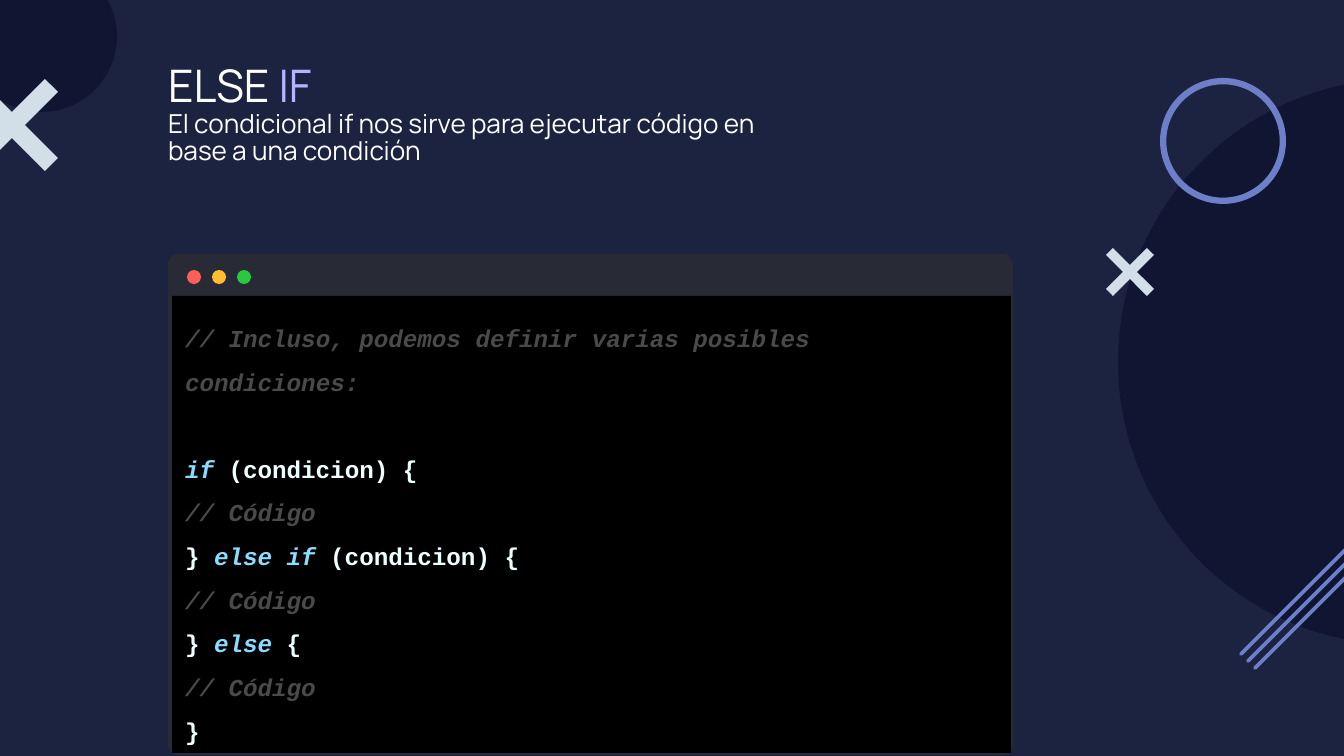
from lxml import etree
from pptx import Presentation
from pptx.dml.color import RGBColor
from pptx.enum.shapes import MSO_CONNECTOR, MSO_SHAPE
from pptx.enum.text import MSO_ANCHOR, MSO_AUTO_SIZE, PP_ALIGN
from pptx.oxml.ns import qn
from pptx.util import Pt

EMU_PER_PX = 914400 / 134.4

ELLIPSE = MSO_SHAPE.OVAL
ROUNDED = MSO_SHAPE.ROUNDED_RECTANGLE
DONUT = MSO_SHAPE.DONUT
STRAIGHT = MSO_CONNECTOR.STRAIGHT
TOP = MSO_ANCHOR.TOP
LEFT = PP_ALIGN.LEFT
NO_AUTOFIT = MSO_AUTO_SIZE.NONE

BACKGROUND = RGBColor(0x1C, 0x23, 0x40)
DARK_CIRCLE = RGBColor(0x10, 0x16, 0x32)
WINDOW = RGBColor(0x28, 0x2A, 0x36)
BLACK = RGBColor(0, 0, 0)
WHITE = RGBColor(0xFF, 0xFF, 0xFF)
LILAC = RGBColor(0xB3, 0xB5, 0xFF)
PERIWINKLE = RGBColor(0x6D, 0x7F, 0xC9)
PALE = RGBColor(0xD2, 0xDF, 0xE9)
COMMENT = RGBColor(0x4A, 0x4A, 0x4A)
KEYWORD = RGBColor(0x89, 0xDD, 0xFF)
PLAIN = RGBColor(0xEE, 0xFF, 0xFF)
BUTTONS = (RGBColor(0xFF, 0x5F, 0x56), RGBColor(0xFF, 0xBD, 0x2F),
           RGBColor(0x28, 0xC9, 0x3F))

CODE_COMMENT = [("// Código", COMMENT)]
CODE = [
    [("// Incluso, podemos definir varias posibles condiciones:", COMMENT)],
    [("if", KEYWORD), (" (condicion) {", PLAIN)],
    CODE_COMMENT,
    [("} ", PLAIN), ("else if", KEYWORD), (" (condicion) {", PLAIN)],
    CODE_COMMENT,
    [("} ", PLAIN), ("else", KEYWORD), (" {", PLAIN)],
    CODE_COMMENT,
    [("}", PLAIN)],
]
TITLE = [
    (24, [("ELSE", WHITE), (" IF", LILAC)]),
    (14, [("El condicional if nos sirve para ejecutar código en "
           "base a una condición", WHITE)]),
]


def px(value):
    return round(value * EMU_PER_PX)


def paint(shape, color):
    shape.fill.solid()
    shape.fill.fore_color.rgb = color
    shape.line.fill.background()
    shape.shadow.inherit = False


def add_preset(slide, kind, box, color, adjustment=None):
    shape = slide.shapes.add_shape(kind, *map(px, box))
    if adjustment is not None:
        shape.adjustments[0] = adjustment
    paint(shape, color)


def add_cross(slide, center_x, center_y, reach, notch):
    """Diagonal cross: one arm's three corners, turned four times by 90°."""
    arm = reach - notch
    corners = [(arm, -reach), (reach, -arm), (notch, 0)]
    points = []
    for _ in range(4):
        points += [(px(center_x + x), px(center_y + y)) for x, y in corners]
        corners = [(-y, x) for x, y in corners]
    builder = slide.shapes.build_freeform(*points[0])
    builder.add_line_segments(points[1:], close=True)
    paint(builder.convert_to_shape(), PALE)


def add_stripe(slide, x, y, length):
    """Rising 45° line with round ends."""
    ends = map(px, (x, y, x + length, y - length))
    stripe = slide.shapes.add_connector(STRAIGHT, *ends)
    stripe.line.color.rgb = PERIWINKLE
    stripe.line.width = Pt(2)
    stripe.line._get_or_add_ln().set("cap", "rnd")
    etree.SubElement(stripe.element.spPr, qn("a:effectLst"))


def place_placeholder(slide, placeholder, box):
    """Move a placeholder to its box and in front of what is drawn so far."""
    placeholder.left, placeholder.top, placeholder.width, placeholder.height = map(px, box)
    slide.shapes.element.append(placeholder.element)
    frame = placeholder.text_frame
    frame.word_wrap = True
    frame.auto_size = NO_AUTOFIT
    frame.vertical_anchor = TOP
    frame.margin_left = frame.margin_right = px(13)
    frame.margin_top = frame.margin_bottom = px(13)
    return frame


def add_paragraph(frame, index, runs, font_name, size, line_spacing):
    paragraph = frame.add_paragraph() if index else frame.paragraphs[0]
    paragraph.alignment = LEFT
    paragraph.line_spacing = line_spacing
    paragraph.space_before = paragraph.space_after = Pt(0)
    paragraph.font.name = font_name
    paragraph.font.size = Pt(size)
    for text, color in runs:
        run = paragraph.add_run()
        run.text = text
        run.font.color.rgb = color
    return paragraph


def add_title(slide):
    frame = place_placeholder(slide, slide.shapes.title, (155, 52, 653, 116))
    for index, (size, runs) in enumerate(TITLE):
        add_paragraph(frame, index, runs, "Manrope", size, 0.87)


def add_code(slide):
    body = slide.placeholders[1]
    paint(body, BLACK)
    frame = place_placeholder(slide, body, (172, 296, 839, 457))
    for index, runs in enumerate(CODE):
        paragraph = add_paragraph(frame, index, runs, "Courier New", 13, 1.5)
        paragraph.font.bold = True
        for run, (_, color) in zip(paragraph.runs, runs):
            run.font.italic = color != PLAIN
        properties = paragraph._p.get_or_add_pPr()
        properties.set("marL", "0")
        properties.set("indent", "0")
        bullet = etree.Element(qn("a:buNone"))
        properties.find(qn("a:spcAft")).addnext(bullet)
    frame.paragraphs[1].space_before = Pt(23)


def add_window(slide):
    add_preset(slide, ROUNDED, (168, 254, 845, 501), WINDOW, 0.02)
    for index, color in enumerate(BUTTONS):
        add_preset(slide, ELLIPSE, (187 + 25 * index, 270, 14, 14), color)


def add_decoration(slide):
    add_preset(slide, ELLIPSE, (-34, -39, 151, 151), DARK_CIRCLE)
    add_preset(slide, ELLIPSE, (1118, 79, 566, 566), DARK_CIRCLE)
    add_cross(slide, 1130, 272, 24, 7)
    add_preset(slide, DONUT, (1160, 78, 126, 126), PERIWINKLE, 0.05)
    for index in range(3):
        add_stripe(slide, 1241 + 7 * index, 654 + 7 * index, 120)
    add_cross(slide, 12, 125, 46, 13)


def main():
    presentation = Presentation()
    presentation.slide_width = px(1344)
    presentation.slide_height = px(756)
    slide = presentation.slides.add_slide(presentation.slide_layouts[1])
    slide.background.fill.solid()
    slide.background.fill.fore_color.rgb = BACKGROUND
    add_window(slide)
    add_code(slide)
    add_title(slide)
    add_decoration(slide)
    presentation.save("out.pptx")


if __name__ == "__main__":
    main()
